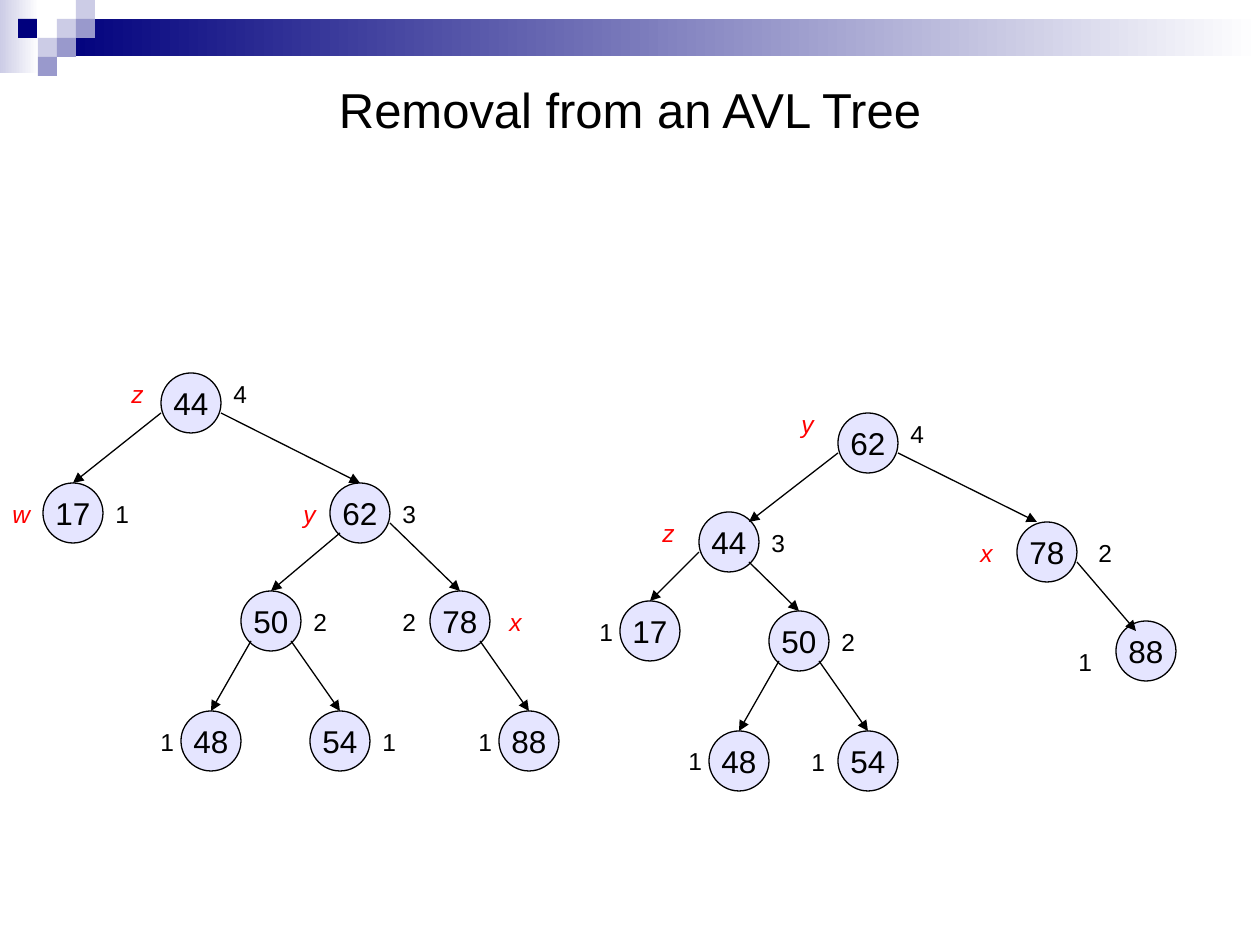
from lxml import etree
from pptx import Presentation
from pptx import util as u
from pptx.dml.color import RGBColor
from pptx.enum import shapes, text
from pptx.oxml.ns import qn

EMU_PER_PX = 914400 / 126
BLACK = RGBColor(0x00, 0x00, 0x00)
WHITE = RGBColor(0xFF, 0xFF, 0xFF)
RED = RGBColor(0xFF, 0x00, 0x00)
NAVY = RGBColor(0x00, 0x00, 0x7D)
LAVENDER = RGBColor(0xCC, 0xCC, 0xE6)
PERIWINKLE = RGBColor(0x99, 0x99, 0xCC)
NODE_BLUE = RGBColor(0x99, 0x99, 0xFF)

NODE_SIZE = 60
SQUARE_SIZE = 19
TOP = (30, 0)
# Points on a node where edges leave, measured from its top left corner
LEFT, RIGHT = (0, 40), (60, 40)
LOW_LEFT, LOW_RIGHT = (10, 50), (50, 50)

SQUARES = [
    (57, 19, LAVENDER), (76, 0, LAVENDER), (76, 19, PERIWINKLE),
    (38, 38, LAVENDER), (18, 19, NAVY), (57, 38, PERIWINKLE),
    (38, 57, PERIWINKLE),
]

# Nodes: key: (x, y, height, offset of height, name, offset of name)
# Edges: (parent, child, start on parent, end on child)
BEFORE_NODES = {
    "44": (161, 373, "4", (60, 0), "z", (-42, 0)),
    "17": (43, 483, "1", (60, 10), "w", (-43, 10)),
    "62": (330, 483, "3", (60, 10), "y", (-39, 10)),
    "50": (241, 591, "2", (60, 10), None, None),
    "78": (430, 591, "2", (-40, 10), "x", (67, 10)),
    "48": (181, 711, "1", (-33, 10), None, None),
    "54": (310, 711, "1", (60, 10), None, None),
    "88": (499, 711, "1", (-33, 10), None, None),
}
BEFORE_EDGES = [
    ("44", "17", LEFT, TOP), ("44", "62", RIGHT, TOP),
    ("62", "50", LOW_LEFT, TOP), ("62", "78", RIGHT, TOP),
    ("50", "48", LOW_LEFT, TOP), ("50", "54", LOW_RIGHT, TOP),
    ("78", "88", LOW_RIGHT, TOP),
]
AFTER_NODES = {
    "62": (838, 413, "4", (60, 0), "y", (-49, -10)),
    "44": (699, 512, "3", (60, 10), "z", (-49, 0)),
    "78": (1017, 522, "2", (69, 10), "x", (-49, 10)),
    "17": (620, 601, "1", (-33, 10), None, None),
    "50": (769, 611, "2", (60, 10), None, None),
    "88": (1116, 621, "1", (-50, 20), None, None),
    "48": (709, 731, "1", (-33, 9), None, None),
    "54": (838, 731, "1", (-39, 10), None, None),
}
AFTER_EDGES = [
    ("62", "44", LEFT, (50, 10)), ("62", "78", RIGHT, (20, 0)),
    ("44", "17", LEFT, TOP), ("44", "50", LOW_RIGHT, TOP),
    ("78", "88", RIGHT, (20, 10)),
    ("50", "48", LOW_LEFT, TOP), ("50", "54", LOW_RIGHT, TOP),
]


def px(*lengths):
    return [u.Emu(round(length * EMU_PER_PX)) for length in lengths]


def write(shape, words, size, color=BLACK, italic=False, align=None):
    paragraph = shape.text_frame.paragraphs[0]
    paragraph.text = words
    paragraph.alignment = align
    font = paragraph.font
    font.name, font.size, font.italic = "Arial", u.Pt(size), italic
    font.color.rgb = color


def add_block(slide, x, y, width, height, color, fade=False):
    """Add a borderless rectangle, fading to white on the right if asked."""
    block = slide.shapes.add_shape(
        shapes.MSO_SHAPE.RECTANGLE, *px(x, y, width, height))
    block.shadow.inherit = False
    block.line.fill.background()
    if fade:
        block.fill.gradient()
        block.fill.gradient_angle = 0
        for stop, stop_color in zip(block.fill.gradient_stops, (color, WHITE)):
            stop.color.rgb = stop_color
    else:
        block.fill.solid()
        block.fill.fore_color.rgb = color


def add_title(slide, words):
    title = slide.shapes.add_textbox(*px(63, 63, 1134, 92))
    title.text_frame.word_wrap = True
    title.text_frame.vertical_anchor = text.MSO_ANCHOR.MIDDLE
    write(title, words, 28, align=text.PP_ALIGN.CENTER)


def add_label(slide, x, y, words, color=BLACK, italic=False):
    label = slide.shapes.add_textbox(*px(x, y, 39, 43))
    label.text_frame.word_wrap = False
    label.text_frame.auto_size = text.MSO_AUTO_SIZE.SHAPE_TO_FIT_TEXT
    write(label, words, 14, color, italic)


def add_node(slide, x, y, key):
    node = slide.shapes.add_shape(
        shapes.MSO_SHAPE.OVAL, *px(x, y, NODE_SIZE, NODE_SIZE))
    node.shadow.inherit = False
    node.fill.solid()
    node.fill.fore_color.rgb = NODE_BLUE
    color = node.fill._xPr.find(".//" + qn("a:srgbClr"))
    etree.SubElement(color, qn("a:alpha"), val="25000")
    node.line.color.rgb = BLACK
    node.line.width = u.Pt(0.75)
    node.text_frame.word_wrap = False
    node.text_frame.vertical_anchor = text.MSO_ANCHOR.MIDDLE
    write(node, key, 18, align=text.PP_ALIGN.CENTER)
    return node


def add_arrow(slide, start, end):
    arrow = slide.shapes.add_connector(
        shapes.MSO_CONNECTOR.STRAIGHT, *px(*start, *end))
    arrow.line.color.rgb = BLACK
    arrow.line.width = u.Pt(0.75)
    etree.SubElement(arrow.line._get_or_add_ln(), qn("a:tailEnd"),
                     type="triangle")
    etree.SubElement(arrow._element.spPr, qn("a:effectLst"))
    return arrow


def add_tree(slide, nodes, edges):
    ovals = {}
    for key, (x, y, height, height_at, name, name_at) in nodes.items():
        ovals[key] = add_node(slide, x, y, key)
        add_label(slide, x + height_at[0], y + height_at[1], height)
        if name:
            add_label(slide, x + name_at[0], y + name_at[1], name, RED, True)
    for parent, child, start, end in edges:
        arrow = add_arrow(
            slide,
            (nodes[parent][0] + start[0], nodes[parent][1] + start[1]),
            (nodes[child][0] + end[0], nodes[child][1] + end[1]))
        if end == TOP:
            arrow.end_connect(ovals[child], 0)


def main():
    presentation = Presentation()
    presentation.slide_width, presentation.slide_height = px(1260, 945)
    slide = presentation.slides.add_slide(presentation.slide_layouts[6])
    add_block(slide, 0, 0, 39, 73, LAVENDER, fade=True)
    add_block(slide, 57, 19, 1203, 37, NAVY, fade=True)
    for x, y, color in SQUARES:
        add_block(slide, x, y, SQUARE_SIZE, SQUARE_SIZE, color)
    add_title(slide, "Removal from an AVL Tree")
    add_tree(slide, BEFORE_NODES, BEFORE_EDGES)
    add_tree(slide, AFTER_NODES, AFTER_EDGES)
    presentation.save("out.pptx")


if __name__ == "__main__":
    main()
